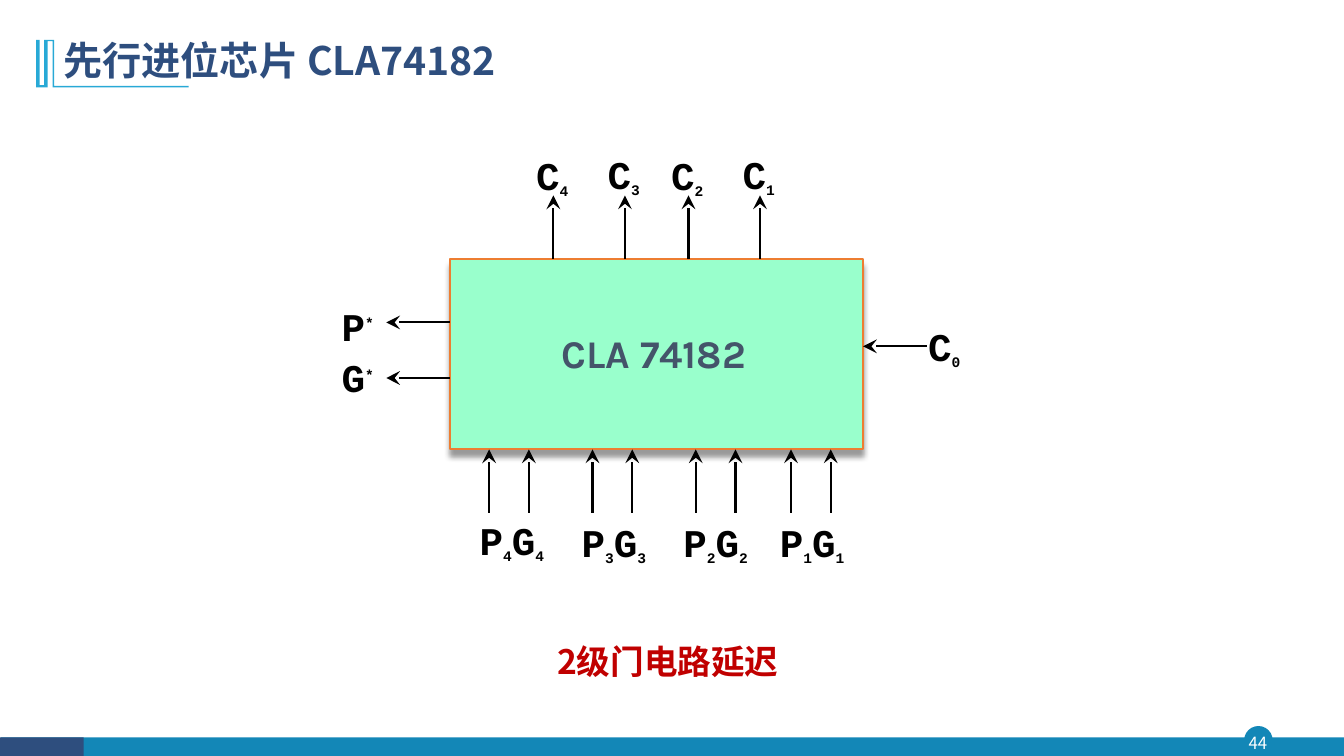
from dataclasses import dataclass

from lxml.etree import SubElement
from pptx import Presentation
from pptx.dml.color import RGBColor
from pptx.enum.shapes import MSO_CONNECTOR, MSO_SHAPE
from pptx.enum.text import MSO_ANCHOR, PP_ALIGN
from pptx.oxml import parse_xml
from pptx.oxml.ns import nsdecls, qn
from pptx.util import Pt


@dataclass(frozen=True)
class Theme:
    navy: str = "2E4E7E"
    blue: str = "1387B7"
    sky: str = "28A9D6"
    mint: str = "99FFCC"
    orange: str = "ED7D31"
    slate: str = "44546A"
    red: str = "C00000"
    black: str = "000000"
    white: str = "FFFFFF"
    sans: str = "Noto Sans CJK SC"
    mono: str = "Courier New"
    chip: str = "Karla"
    large: int = 28
    medium: int = 24
    script: int = 18
    small: int = 12
    line: float = 1.5


def rgb(color):
    return RGBColor.from_string(color)


def add_run(p, text, *, size, font, color, bold=True, baseline=0):
    r = p.add_run()
    r.text = text
    r.font.size = Pt(size)
    r.font.name = font
    r.font.bold = bold
    r.font.color.rgb = rgb(color)
    rPr = r.font._element
    SubElement(rPr, qn("a:ea")).set("typeface", font)
    if baseline:
        rPr.set("baseline", str(baseline * 1000))


class SlideBuilder:
    def __init__(self, slide, theme):
        self.s = slide
        self.t = theme

    def shape(self, kind, x, y, w, h, fill, line=None, width=1):
        sp = self.s.shapes.add_shape(kind, Pt(x), Pt(y), Pt(w), Pt(h))
        self.paint(sp, fill, line, width)
        return sp

    def paint(self, sp, fill, line=None, width=1):
        sp.shadow.inherit = False
        sp.fill.solid()
        sp.fill.fore_color.rgb = rgb(fill)
        if line:
            sp.line.color.rgb = rgb(line)
            sp.line.width = Pt(width)
        else:
            sp.line.fill.background()

    def outline(self, points, fill):
        (x, y), *rest = [(Pt(px), Pt(py)) for px, py in points]
        fb = self.s.shapes.build_freeform(x, y)
        fb.add_line_segments(rest, close=True)
        self.paint(fb.convert_to_shape(), fill)

    def drop_shadow(self, sp, blur, dist, alpha):
        effects = sp._element.spPr.find(qn("a:effectLst"))
        effects.append(parse_xml(
            f'<a:outerShdw {nsdecls("a")} blurRad="{Pt(blur)}" dist="{Pt(dist)}" '
            f'dir="5400000" algn="t" rotWithShape="0"><a:srgbClr val="{self.t.black}">'
            f'<a:alpha val="{alpha * 1000}"/></a:srgbClr></a:outerShdw>'))

    def box(self, x, y, w, h, anchor=MSO_ANCHOR.TOP, align=PP_ALIGN.LEFT, wrap=True):
        """Add an empty text box and return its frame and first paragraph."""
        tf = self.s.shapes.add_textbox(Pt(x), Pt(y), Pt(w), Pt(h)).text_frame
        tf.word_wrap = wrap
        tf.vertical_anchor = anchor
        p = tf.paragraphs[0]
        p.alignment = align
        return tf, p

    def text(self, text, x, y, w, h, *, anchor=MSO_ANCHOR.TOP, align=PP_ALIGN.CENTER,
             inset=None, spacing=None, **fmt):
        tf, p = self.box(x, y, w, h, anchor, align)
        if inset is not None:
            tf.margin_left = tf.margin_right = tf.margin_top = tf.margin_bottom = Pt(inset)
        if spacing is not None:
            p.line_spacing = spacing
        add_run(p, text, **fmt)

    def signal(self, name, x, y, w):
        """Label a pin: digits are set as subscripts, a star as a superscript."""
        _, p = self.box(x, y, w, 41, wrap=False)
        for ch in name:
            baseline = 0 if ch.isalpha() else 50 if ch == "*" else -25
            add_run(p, ch, size=self.t.script if baseline else self.t.large,
                    font=self.t.mono, color=self.t.black, baseline=baseline)

    def arrow(self, tip_x, tip_y, tail_x, tail_y):
        cx = self.s.shapes.add_connector(
            MSO_CONNECTOR.STRAIGHT, Pt(tip_x), Pt(tip_y), Pt(tail_x), Pt(tail_y))
        cx.line.color.rgb = rgb(self.t.black)
        cx.line.width = Pt(self.t.line)
        spPr = cx._element.spPr
        SubElement(spPr.find(qn("a:ln")), qn("a:headEnd"), type="stealth", w="lg", len="lg")
        SubElement(spPr, qn("a:effectLst"))


def draw_frame(b):
    t = b.t
    b.shape(MSO_SHAPE.OVAL, 889.2, 519.1, 19.4, 19.4, t.blue, t.blue)
    b.shape(MSO_SHAPE.RECTANGLE, 0.7, 526.7, 959.3, 13.3, t.blue)
    b.shape(MSO_SHAPE.RECTANGLE, 0, 526.7, 59.8, 13.3, t.navy)
    b.text("44", 887, 519.1, 23, 22.3, anchor=MSO_ANCHOR.MIDDLE, inset=0,
           size=t.small, font=t.sans, color=t.white, bold=False)
    top, bottom = 28.4, 62.4
    b.outline([(38.7, top), (38.7, 61.4), (134.8, 61.4), (134.8, bottom), (37.7, bottom),
               (37.7, 29.4), (34, 29.4), (34, bottom), (25.9, bottom), (25.9, top),
               (28.4, top), (28.4, 60.8), (31.5, 60.8), (31.5, top)], t.sky)
    b.text("先行进位芯片 CLA74182", 38.2, 20.2, 828, 49, anchor=MSO_ANCHOR.MIDDLE,
           align=PP_ALIGN.LEFT, spacing=0.9, size=t.large, font=t.sans, color=t.navy)


def draw_chip(b):
    t = b.t
    left, top, width, height = 321.3, 185, 295.2, 136
    right, bottom, lead = left + width, top + height, 45.4
    chip = b.shape(MSO_SHAPE.RECTANGLE, left, top, width, height, t.mint, t.orange, t.line)
    b.drop_shadow(chip, blur=4, dist=5, alpha=40)
    b.text("CLA 74182", 316.8, 238.3, 300.2, 33.8, anchor=MSO_ANCHOR.BOTTOM,
           size=t.large, font=t.chip, color=t.slate)

    for n, x, y in ((4, 395.3, 104.4), (3, 446.4, 103.7), (2, 491.8, 104.4), (1, 542.9, 103.7)):
        b.arrow(x, top - lead, x, top)
        b.signal(f"C{n}", x - 19.5, y, 39.6)

    pair_gap = 28.4
    for n, x, label_x, y in ((4, 349.4, 335.5, 365), (3, 423.2, 408.4, 366.5),
                             (2, 497, 481, 366.5), (1, 565, 550, 366.5)):
        for pin_x in (x, x + pair_gap):
            b.arrow(pin_x, bottom, pin_x, bottom + lead)
        b.signal(f"P{n}G{n}", label_x, y, 63.2)

    for name, y, label_y in (("P*", 230.3, 212.4), ("G*", 270, 249.1)):
        b.arrow(left - lead, y, left, y)
        b.signal(name, 236.9, label_y, 56.9)

    b.arrow(right, 247.4, right + lead, 247.4)
    b.signal("C0", 655.9, 226.8, 56.9)


def main():
    prs = Presentation()
    prs.slide_width, prs.slide_height = Pt(960), Pt(540)
    b = SlideBuilder(prs.slides.add_slide(prs.slide_layouts[6]), Theme())
    draw_frame(b)
    draw_chip(b)
    b.text("2级门电路延迟", 349.2, 454.3, 255.6, 38.9,
           size=b.t.medium, font=b.t.sans, color=b.t.red)
    prs.save("out.pptx")


if __name__ == "__main__":
    main()
